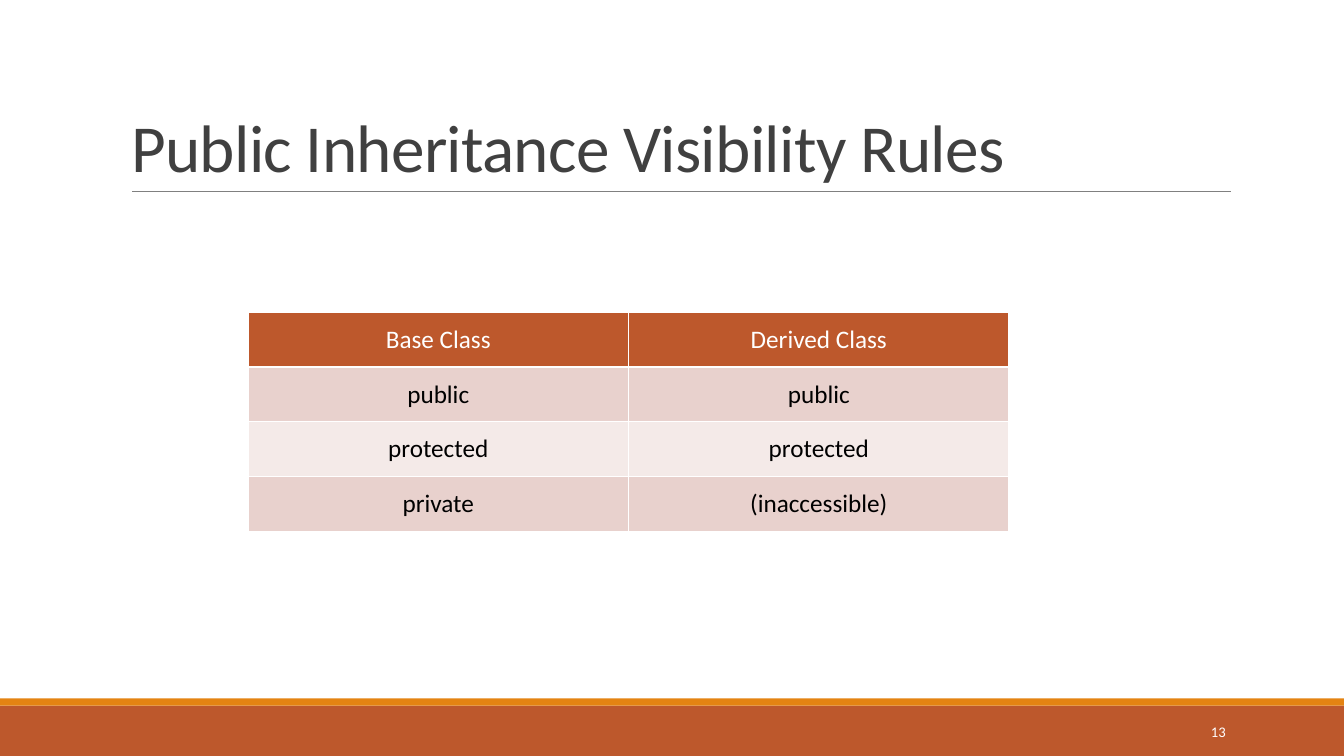
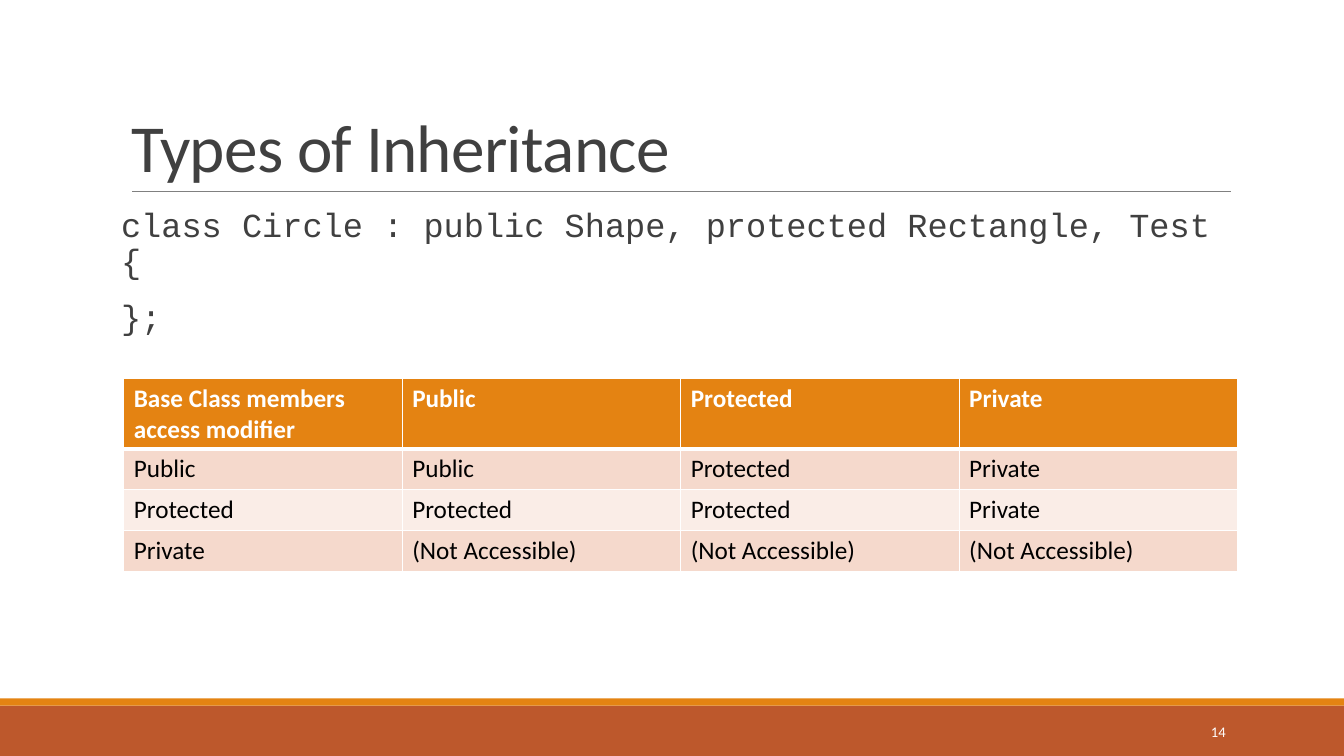
import pptx
import pptx.dml.color
import pptx.enum.shapes
import pptx.enum.text
import pptx.oxml
import pptx.oxml.ns
import pptx.util

Cm = pptx.util.Cm
Pt = pptx.util.Pt
qn = pptx.oxml.ns.qn
Align = pptx.enum.text.PP_ALIGN
Anchor = pptx.enum.text.MSO_ANCHOR

# Shared look
WIDE, HIGH = 33.87, 19.05
RUST, GOLD, GREY, INK = "BD582C", "E48312", "808080", "404040"
WHITE, BLACK = "FFFFFF", "000000"
SANS, MONO = "Calibri", "Courier New"


def paint(target, color):
    """Give a fill or a font a solid colour."""
    if hasattr(target, "solid"):
        target.solid()
        target = target.fore_color
    else:
        target = target.color
    target.rgb = pptx.dml.color.RGBColor.from_string(color)


def style(para, size, color, face=SANS, bold=False, align=Align.LEFT):
    para.alignment = align
    para.font.name = face
    para.font.size = Pt(size)
    para.font.bold = bold
    paint(para.font, color)


def place(shape, left, top, width, height):
    shape.left, shape.top = Cm(left), Cm(top)
    shape.width, shape.height = Cm(width), Cm(height)


def add_node(parent, tag, **attrs):
    node = pptx.oxml.parse_xml(f"<{tag} {pptx.oxml.ns.nsdecls('a')}/>")
    for key, value in attrs.items():
        node.set(key, str(value))
    parent.append(node)
    return node


# Parts on every slide
def add_band(slide, top, height, color):
    band = slide.shapes.add_shape(
        pptx.enum.shapes.MSO_SHAPE.RECTANGLE, 0, Cm(top), Cm(WIDE), Cm(height))
    band.shadow.inherit = False
    paint(band.fill, color)
    band.line.fill.background()


def add_rule(slide):
    rule = slide.shapes.add_connector(
        pptx.enum.shapes.MSO_CONNECTOR.STRAIGHT,
        Cm(3.33), Cm(4.82), Cm(31.01), Cm(4.82))
    paint(rule.line.fill, GREY)
    rule.line.width = Pt(0.5)
    add_node(rule._element.spPr, "a:effectLst")


def set_title(slide, text):
    title = slide.shapes.title
    place(title, 3.05, 0.79, 27.94, 4.04)
    frame = title.text_frame
    frame.text = text
    frame.word_wrap = True
    frame.auto_size = pptx.enum.text.MSO_AUTO_SIZE.NONE
    frame.vertical_anchor = Anchor.BOTTOM
    para = frame.paragraphs[0]
    para.line_spacing = 0.85
    style(para, 48, INK)
    para._p.pPr.find(qn("a:defRPr")).set("spc", "-50")


def add_number(slide, number):
    box = slide.shapes.add_textbox(Cm(27.51), Cm(17.93), Cm(3.63), Cm(1.02))
    frame = box.text_frame
    frame.word_wrap = True
    frame.vertical_anchor = Anchor.MIDDLE
    frame.text = str(number)
    style(frame.paragraphs[0], 10.5, WHITE, align=Align.RIGHT)


def add_slide(deck, layout, title, number):
    slide = deck.slides.add_slide(deck.slide_layouts[layout])
    add_band(slide, 17.78, 1.27, RUST)
    add_band(slide, 17.6, 0.18, GOLD)
    add_rule(slide)
    set_title(slide, title)
    add_number(slide, number)
    return slide


# Code in the body placeholder
def set_code(slide, lines):
    body = slide.placeholders[1]
    place(body, 3.05, 5.13, 27.94, 12.22)
    frame = body.text_frame
    frame.text = "\n".join(lines)
    frame.word_wrap = True
    frame.auto_size = pptx.enum.text.MSO_AUTO_SIZE.NONE
    frame.vertical_anchor = Anchor.TOP
    frame.margin_left = frame.margin_right = 0
    for i, para in enumerate(frame.paragraphs):
        props = para._p.get_or_add_pPr()
        props.set("marL", "0")
        props.set("indent", "0")
        add_node(props, "a:buNone")
        para.line_spacing = 0.9
        para.space_before = Pt(12 if i else 0)
        para.space_after = Pt(2)
        style(para, 24, INK, MONO)


# Tables
def set_edges(cell, top, bottom):
    props = cell._tc.get_or_add_tcPr()
    for side, width in zip("LRTB", (1, 1, top, bottom)):
        line = add_node(props, f"a:ln{side}", w=Pt(width))
        fill = add_node(line, "a:solidFill")
        add_node(fill, "a:srgbClr", val=WHITE)


def add_grid(slide, spot, width, heights, rows, fills,
             align=Align.LEFT, anchor=Anchor.TOP, bold=False, rule=1):
    """Fills are the head, odd and even row colours; rule is below the head."""
    left, top = spot
    grid = slide.shapes.add_table(
        len(rows), len(rows[0]), Cm(left), Cm(top),
        Cm(width), Cm(sum(heights))).table
    head, odd, even = fills
    for r, row in enumerate(rows):
        grid.rows[r].height = Cm(heights[r])
        color = head if r == 0 else odd if r % 2 else even
        for c, text in enumerate(row):
            cell = grid.cell(r, c)
            cell.text = text
            cell.vertical_anchor = anchor
            set_edges(cell, rule if r == 1 else 1, rule if r == 0 else 1)
            paint(cell.fill, color)
            style(cell.text_frame.paragraphs[0], 18, BLACK if r else WHITE,
                  bold=bold and r == 0, align=align)


def main():
    deck = pptx.Presentation()
    deck.slide_width, deck.slide_height = Cm(WIDE), Cm(HIGH)

    # Visibility rules
    slide = add_slide(deck, 5, "Public Inheritance Visibility Rules", 13)
    add_grid(slide, (6.25, 7.87), 19.18, [1.38] * 4, [
        ("Base Class", "Derived Class"),
        ("public", "public"),
        ("protected", "protected"),
        ("private", "(inaccessible)"),
    ], (RUST, "E8D1CD", "F4EAE8"), Align.CENTER, Anchor.MIDDLE)

    # Types of inheritance
    slide = add_slide(deck, 1, "Types of Inheritance", 14)
    set_code(slide, [
        "class Circle : public Shape, protected Rectangle, Test {", "};"])
    add_grid(slide, (3.12, 9.53), 28.07, [1.78] + [1.03] * 3, [
        ("Base Class members access modifier",
         "Public", "Protected", "Private"),
        ("Public", "Public", "Protected", "Private"),
        ("Protected", "Protected", "Protected", "Private"),
        ("Private",) + ("(Not Accessible)",) * 3,
    ], (GOLD, "F5D9CC", "FAEDE7"), bold=True, rule=3)

    deck.save("out.pptx")


if __name__ == "__main__":
    main()
